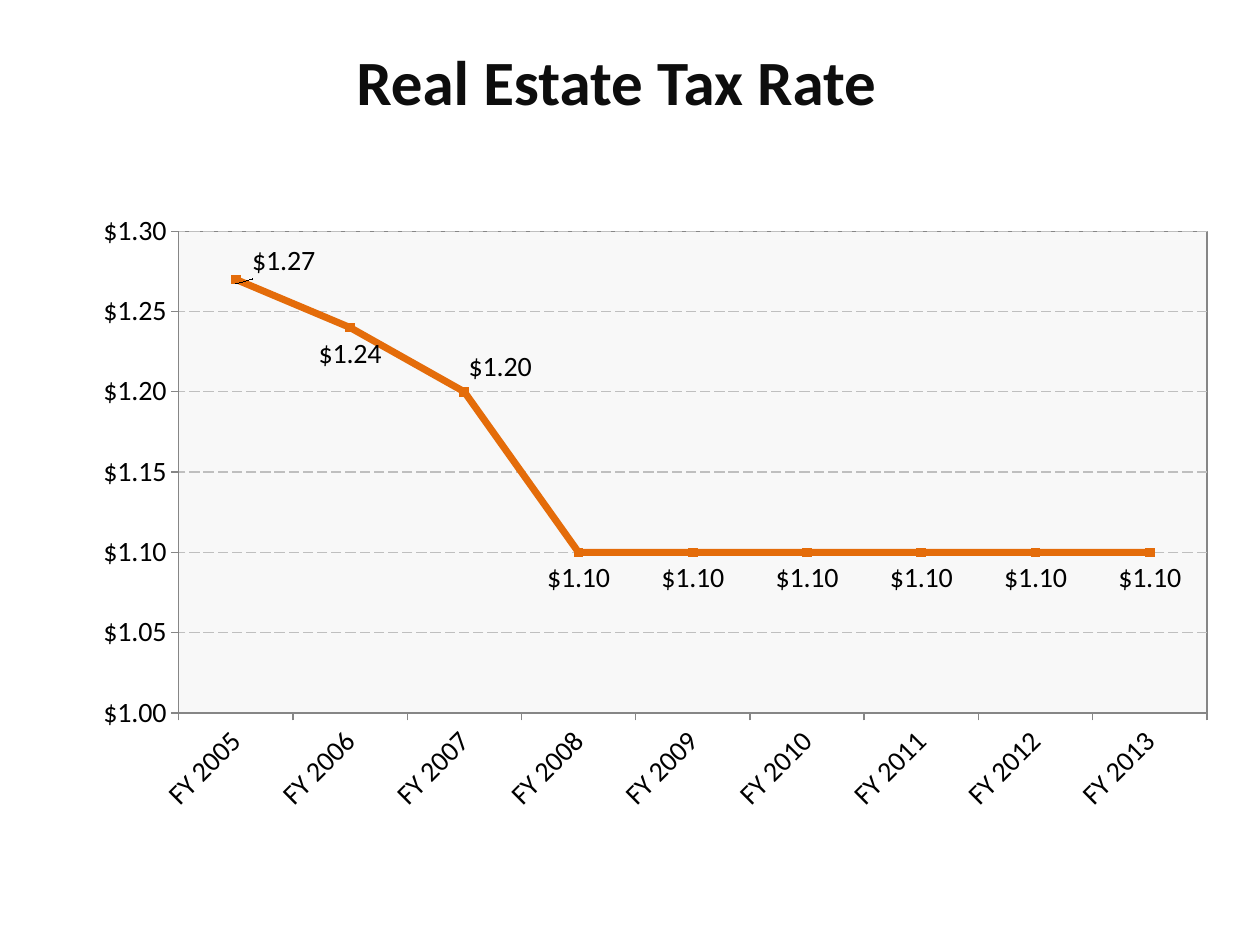
from typing import NamedTuple

from lxml import etree
from pptx import Presentation
from pptx.chart.data import CategoryChartData
from pptx.dml.color import RGBColor
from pptx.enum.chart import XL_CHART_TYPE, XL_LABEL_POSITION, XL_MARKER_STYLE, XL_TICK_MARK
from pptx.enum.dml import MSO_LINE
from pptx.enum.text import MSO_AUTO_SIZE
from pptx.oxml import parse_xml
from pptx.oxml.ns import nsdecls, qn
from pptx.util import Pt

LINE_MARKERS = XL_CHART_TYPE.LINE_MARKERS
BELOW = XL_LABEL_POSITION.BELOW
SQUARE = XL_MARKER_STYLE.SQUARE
OUTSIDE = XL_TICK_MARK.OUTSIDE
LONG_DASH = MSO_LINE.LONG_DASH
FIT_SHAPE = MSO_AUTO_SIZE.SHAPE_TO_FIT_TEXT

INK = RGBColor(0x0D, 0x0D, 0x0D)
BLACK = RGBColor(0x00, 0x00, 0x00)
ORANGE = RGBColor(0xE4, 0x6C, 0x0A)
GRID = RGBColor(0xBF, 0xBF, 0xBF)
AXIS = RGBColor(0x86, 0x86, 0x86)

FONT = "Calibri"
DOLLARS = '"$"#,##0.00'
YEARS = [f"FY {year}" for year in range(2005, 2014)]
RATES = [1.27, 1.24, 1.2] + [1.1] * 6


class MovedLabel(NamedTuple):
    """A point label shifted by fractions of the chart size."""
    idx: int
    dx: float
    dy: float


MOVED_LABELS = [MovedLabel(0, 0.04, -0.06), MovedLabel(2, 0.03, -0.07)]


def set_font(font, size: int, color: RGBColor, bold: bool = False) -> None:
    font.name, font.size, font.bold = FONT, Pt(size), bold
    font.color.rgb = color


def layout_xml(**values):
    """Manual chart layout; keyword order is the element order."""
    items = "".join(f'<c:{key} val="{val}"/>' for key, val in values.items())
    return parse_xml(f'<c:layout {nsdecls("c")}><c:manualLayout>{items}'
                     '</c:manualLayout></c:layout>')


def style_axis(axis) -> None:
    axis.major_tick_mark = OUTSIDE
    axis.format.line.color.rgb = AXIS
    axis.format.line.width = Pt(0.75)
    set_font(axis.tick_labels.font, 16, BLACK)


def style_plot_area(chart) -> None:
    area = chart._chartSpace.chart.plotArea
    for old in area.findall(qn("c:layout")):
        area.remove(old)
    area.insert(0, layout_xml(layoutTarget="inner", xMode="edge", yMode="edge",
                              x=0.123, y=0.023, w=0.859, h=0.656))
    area.append(parse_xml(
        f'<c:spPr {nsdecls("c", "a")}><a:solidFill><a:srgbClr val="F2F2F2">'
        '<a:alpha val="50000"/></a:srgbClr></a:solidFill><a:ln w="9525">'
        f'<a:solidFill><a:srgbClr val="{AXIS}"/></a:solidFill></a:ln></c:spPr>'))


def move_label(series, label: MovedLabel) -> None:
    data_label = series.points[label.idx].data_label
    set_font(data_label.font, 16, BLACK)
    data_label.position = BELOW
    for element in series.data_labels._element.findall(qn("c:dLbl")):
        idx = element.find(qn("c:idx"))
        if idx.get("val") == str(label.idx):
            layout = layout_xml(x=label.dx, y=label.dy)
            idx.addnext(layout)
            num_fmt = etree.Element(qn("c:numFmt"), formatCode=DOLLARS, sourceLinked="0")
            layout.addnext(num_fmt)


def add_rate_chart(s) -> None:
    data = CategoryChartData(number_format=DOLLARS)
    data.categories = YEARS
    data.add_series("Series 1", RATES)
    chart = s.shapes.add_chart(LINE_MARKERS, Pt(18), Pt(122.4), Pt(684), Pt(419.76), data).chart
    chart.has_legend = chart.has_title = False
    set_font(chart.font, 18, BLACK)
    style_plot_area(chart)

    # Axes
    years, rates = chart.category_axis, chart.value_axis
    for axis in (years, rates):
        style_axis(axis)
    years.tick_labels._element.txPr.find(qn("a:bodyPr")).set("rot", "-2700000")
    rates.minimum_scale, rates.maximum_scale, rates.major_unit = 1, 1.3, 0.05
    rates.tick_labels.number_format = DOLLARS
    rates.tick_labels.number_format_is_linked = False
    grid = rates.major_gridlines.format.line
    grid.color.rgb, grid.width, grid.dash_style = GRID, Pt(0.75), LONG_DASH

    # Rate line
    chart.plots[0].vary_by_categories = False
    series = chart.plots[0].series[0]
    series.smooth = False
    series.format.line.color.rgb, series.format.line.width = ORANGE, Pt(4)
    series.marker.style, series.marker.size = SQUARE, 5
    series.marker.format.fill.solid()
    series.marker.format.fill.fore_color.rgb = ORANGE
    series.marker.format.line.color.rgb = ORANGE

    # Value labels
    labels = series.data_labels
    labels.show_value, labels.position = True, BELOW
    labels.number_format, labels.number_format_is_linked = DOLLARS, False
    set_font(labels.font, 16, BLACK)
    for label in MOVED_LABELS:
        move_label(series, label)


def add_title(s) -> None:
    tf = s.shapes.add_textbox(Pt(196.56), Pt(20.88), Pt(326.88), Pt(51.12)).text_frame
    tf.word_wrap, tf.auto_size = False, FIT_SHAPE
    p = tf.paragraphs[0]
    p.text = "Real Estate Tax Rate"
    set_font(p.font, 36, INK, bold=True)


def main() -> None:
    prs = Presentation()
    prs.slide_width, prs.slide_height = Pt(720), Pt(540)
    s = prs.slides.add_slide(prs.slide_layouts[6])
    add_title(s)
    add_rate_chart(s)
    prs.save("out.pptx")


if __name__ == "__main__":
    main()
